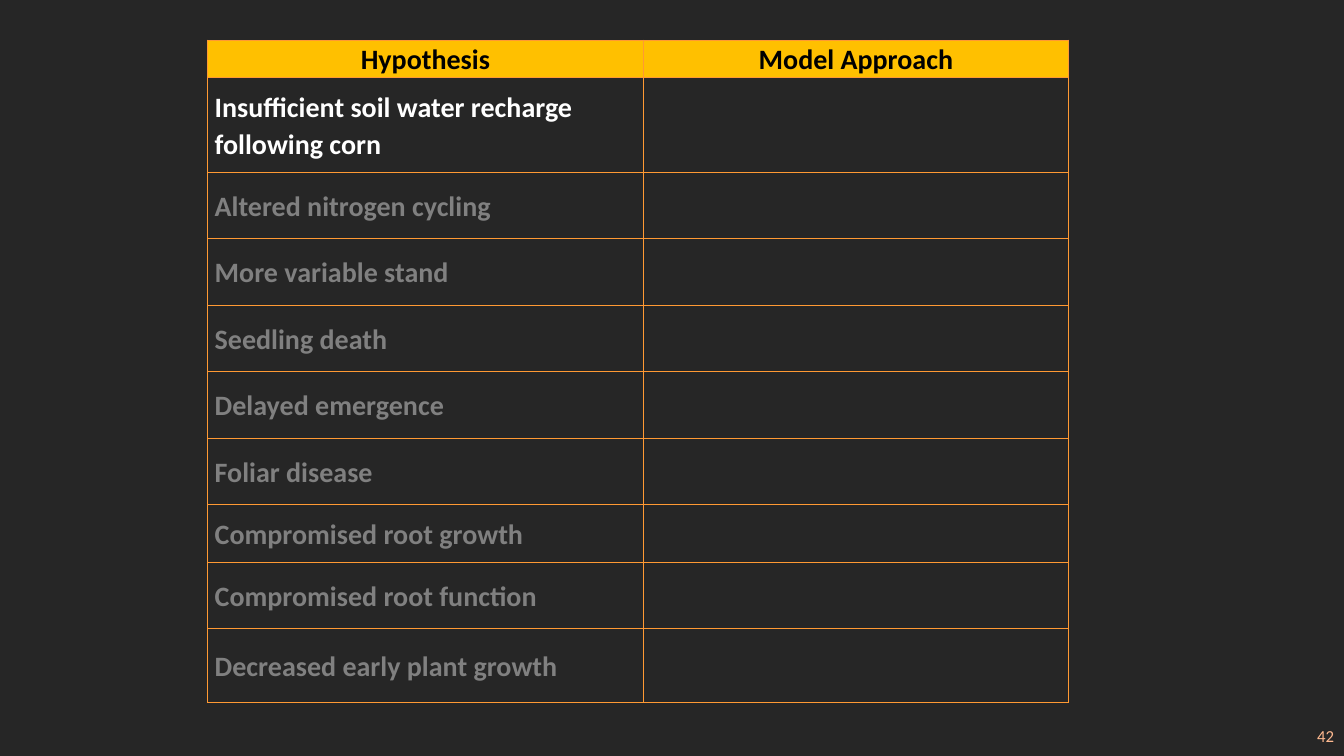
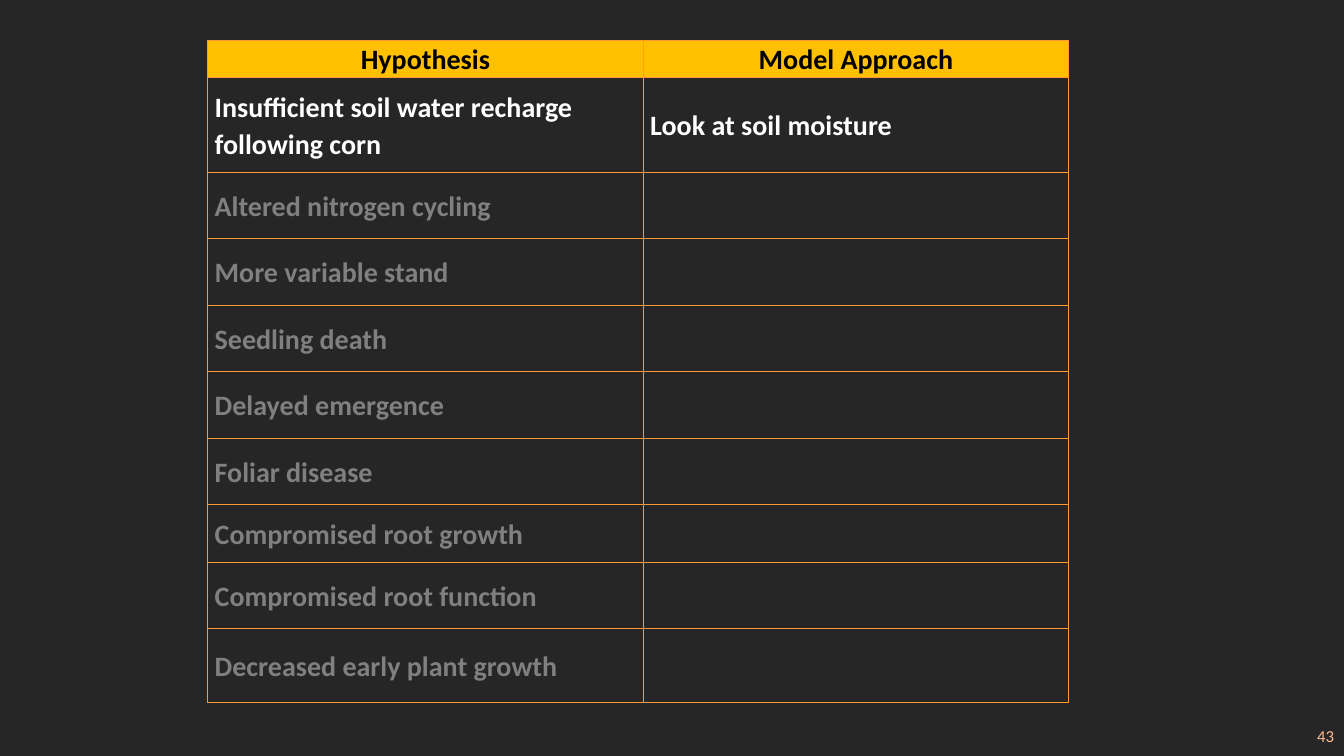
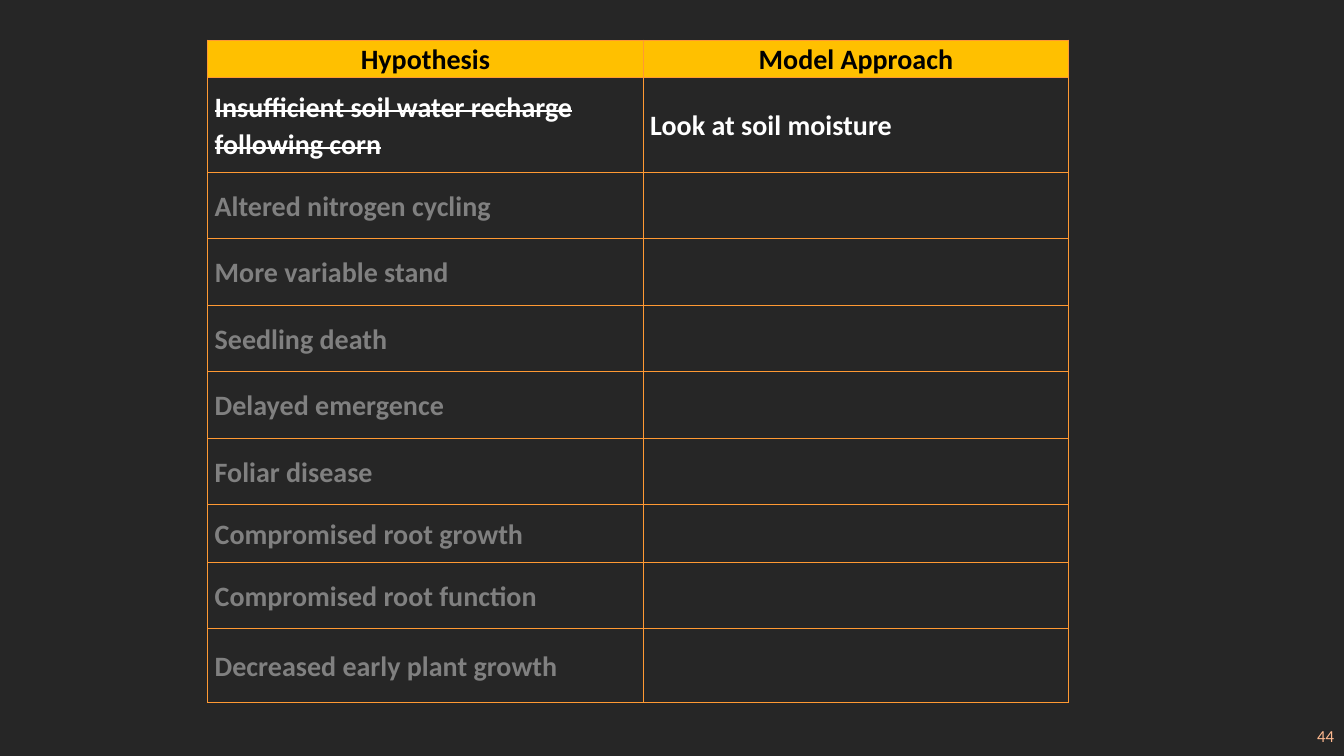
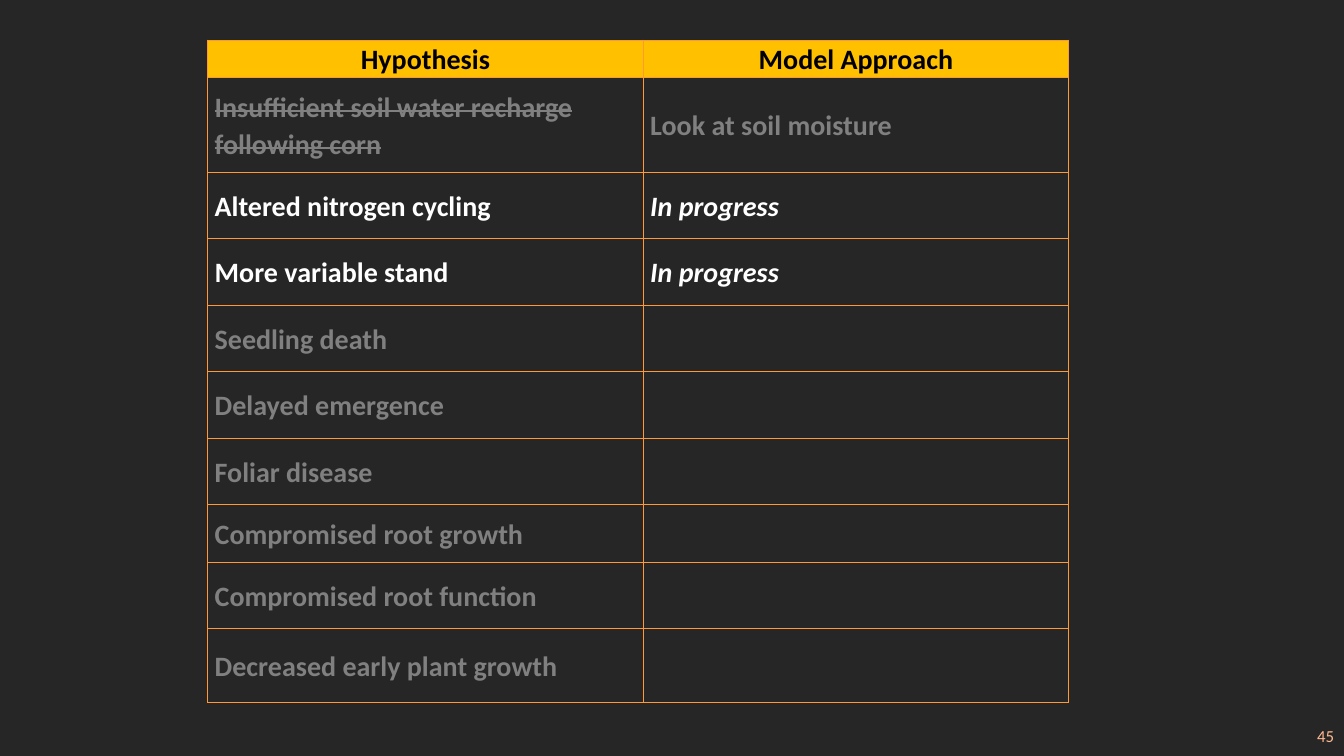
from pptx import Presentation
from pptx import util as u
from pptx.dml.color import RGBColor
from pptx.enum import text
from pptx.oxml import parse_xml
from pptx.oxml.ns import nsdecls

COLORS = {
    "background": "262626",
    "header": "FFC000",
    "header_text": "000000",
    "active": "FFFFFF",
    "muted": "808080",
    "border": "FF9933",
    "number": "FFBA90",
}
FONT = "Calibri"
SLIDE_SIZE = (1333, 750)
TABLE_LEFT, TABLE_TOP = 206, 40
COLUMN_WIDTHS = (432, 422)
HEADER_HEIGHT = 37
CELL_MARGIN = 7
NUMBER_BOX = (1033, 710, 300, 40)
FIRST_NUMBER = 42

HEADERS = ("Hypothesis", "Model Approach")
HYPOTHESES = [  # wording, row height
    ("Insufficient soil water recharge following corn", 94),
    ("Altered nitrogen cycling", 66),
    ("More variable stand", 66),
    ("Seedling death", 66),
    ("Delayed emergence", 66),
    ("Foliar disease", 66),
    ("Compromised root growth", 57),
    ("Compromised root function", 66),
    ("Decreased early plant growth", 73),
]
MOISTURE = "Look at soil moisture"
PROGRESS = "In progress"

# Rows are counted from the first hypothesis.
STAGES = [
    {"active": {0}, "rejected": set(), "approaches": {}},
    {"active": {0}, "rejected": set(), "approaches": {0: MOISTURE}},
    {"active": {0}, "rejected": {0}, "approaches": {0: MOISTURE}},
    {"active": {1, 2}, "rejected": {0},
     "approaches": {0: MOISTURE, 1: PROGRESS, 2: PROGRESS}},
]


def px(length):
    return u.Emu(length * 9144)


def rgb(name):
    return RGBColor.from_string(COLORS[name])


def add_borders(cell):
    properties = cell._tc.get_or_add_tcPr()
    for index, side in enumerate(("lnL", "lnR", "lnT", "lnB")):
        properties.insert(index, parse_xml(
            f'<a:{side} {nsdecls("a")} w="12700"><a:solidFill>'
            f'<a:srgbClr val="{COLORS["border"]}"/></a:solidFill></a:{side}>'))


def style_cell(cell, fill=None):
    if fill:
        cell.fill.solid()
        cell.fill.fore_color.rgb = rgb(fill)
    else:
        cell.fill.background()
    add_borders(cell)
    cell.margin_left = cell.margin_right = px(CELL_MARGIN)
    cell.margin_top = cell.margin_bottom = 0
    cell.vertical_anchor = text.MSO_ANCHOR.MIDDLE


def write_cell(cell, words, color, align=text.PP_ALIGN.LEFT,
               italic=False, strike=False):
    paragraph = cell.text_frame.paragraphs[0]
    run = paragraph.add_run()
    run.text = words
    paragraph.alignment = align
    paragraph.line_spacing = 1.07
    paragraph.space_after = u.Pt(8)
    font = run.font
    font.name, font.size, font.bold, font.italic = FONT, u.Pt(20), True, italic
    font.color.rgb = rgb(color)
    if strike:
        run._r.get_or_add_rPr().set("strike", "sngStrike")


def add_hypothesis_table(slide, stage):
    heights = [HEADER_HEIGHT] + [height for _, height in HYPOTHESES]
    table = slide.shapes.add_table(
        len(heights), len(HEADERS), px(TABLE_LEFT), px(TABLE_TOP),
        px(sum(COLUMN_WIDTHS)), px(sum(heights))).table
    table.horz_banding = table.first_row = False
    for column, width in zip(table.columns, COLUMN_WIDTHS):
        column.width = px(width)
    for row, height in zip(table.rows, heights):
        row.height = px(height)

    for column, header in enumerate(HEADERS):
        cell = table.cell(0, column)
        style_cell(cell, "header")
        write_cell(cell, header, "header_text", text.PP_ALIGN.CENTER)

    for index, (hypothesis, _) in enumerate(HYPOTHESES):
        left, right = table.cell(index + 1, 0), table.cell(index + 1, 1)
        style_cell(left)
        style_cell(right)
        color = "active" if index in stage["active"] else "muted"
        write_cell(left, hypothesis, color, strike=index in stage["rejected"])
        approach = stage["approaches"].get(index)
        if approach:
            write_cell(right, approach, color, italic=approach == PROGRESS)


def add_slide_number(slide, number):
    frame = slide.shapes.add_textbox(*map(px, NUMBER_BOX)).text_frame
    frame.word_wrap = True
    frame.vertical_anchor = text.MSO_ANCHOR.MIDDLE
    paragraph = frame.paragraphs[0]
    paragraph.text = str(number)
    paragraph.alignment = text.PP_ALIGN.RIGHT
    paragraph.font.name, paragraph.font.size = FONT, u.Pt(12)
    paragraph.font.color.rgb = rgb("number")


def main():
    prs = Presentation()
    prs.slide_width, prs.slide_height = map(px, SLIDE_SIZE)
    backdrop = prs.slide_master.background.fill
    backdrop.solid()
    backdrop.fore_color.rgb = rgb("background")
    blank = prs.slide_layouts[6]
    for number, stage in enumerate(STAGES, FIRST_NUMBER):
        slide = prs.slides.add_slide(blank)
        add_hypothesis_table(slide, stage)
        add_slide_number(slide, number)
    prs.save("out.pptx")


if __name__ == "__main__":
    main()
